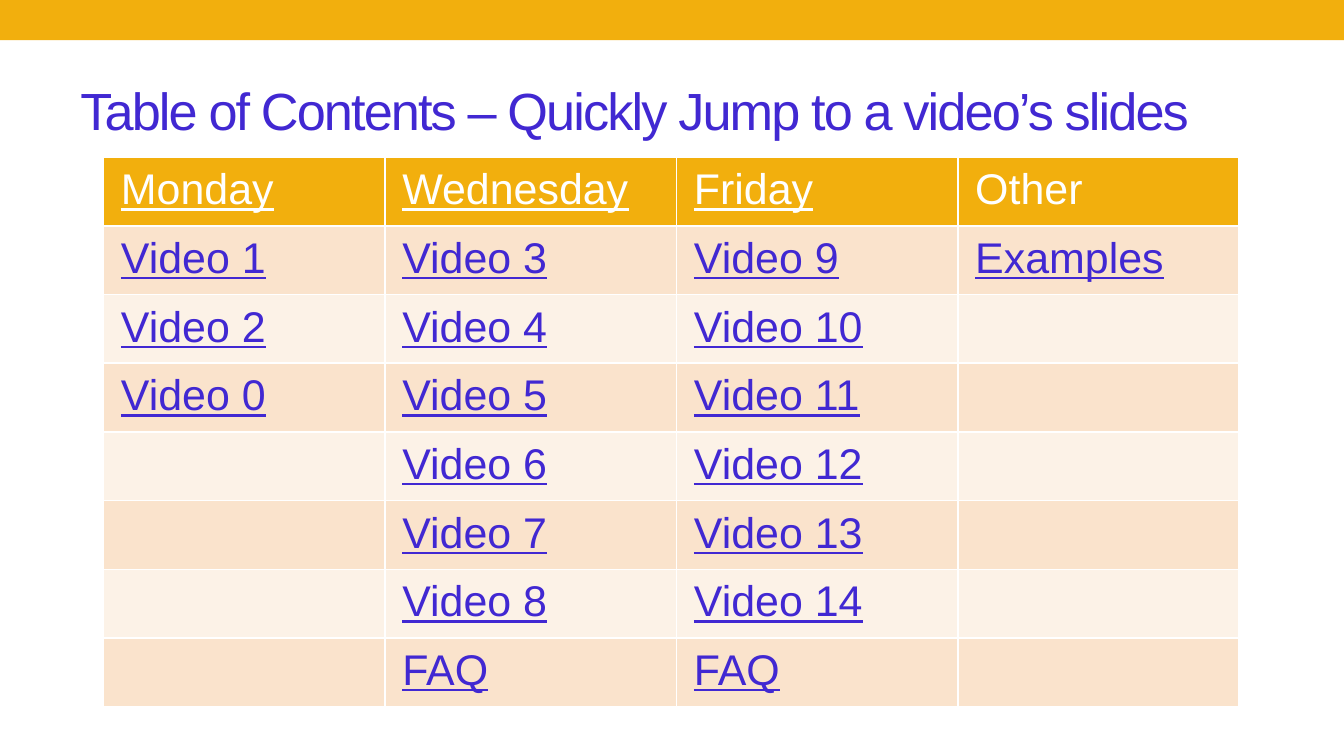
"""Build a table of contents slide: a top band, a title and a table of videos by day."""
from itertools import product, zip_longest

from lxml import etree
from pptx import Presentation, util as u
from pptx.dml.color import RGBColor
from pptx.enum import shapes, text
from pptx.oxml import ns

TITLE = "Table of Contents – Quickly Jump to a video’s slides"
DAYS = {
    "Monday": ["Video 1", "Video 2", "Video 0"],
    "Wednesday": [f"Video {n}" for n in range(3, 9)] + ["FAQ"],
    "Friday": [f"Video {n}" for n in range(9, 15)] + ["FAQ"],
    "Other": ["Examples"],
}
PLAIN = {"Other"}

GOLD = RGBColor(0xF2, 0xAF, 0x0D)
INDIGO = RGBColor(0x41, 0x28, 0xD2)
WHITE = RGBColor(0xFF, 0xFF, 0xFF)
PEACH = RGBColor(0xFA, 0xE3, 0xCC)
CREAM = RGBColor(0xFC, 0xF2, 0xE7)

WIDE = 10
HIGH = WIDE * 9 / 16
BAND = 0.3
LEFT, TOP, SPAN, TALL = 0.77, 1.17, 8.45, 3.98
BROAD = 2.17
SLIM = (SPAN - BROAD) / 3
COLS = [SLIM, BROAD, SLIM, SLIM]


def write(frame, words, size=23, color=INDIGO, line=False, track=0, lead=None):
    para = frame.paragraphs[0]
    para.line_spacing = lead
    run = para.add_run()
    run.text = words
    font = run.font
    font.name, font.size, font.underline = "Arial", u.Pt(size), line
    font.color.rgb = color
    if track:
        font._element.set("spc", str(track * 100))


def edge(cell, color=WHITE, width=1):
    props = cell._tc.get_or_add_tcPr()
    for side in "LRTB":
        line = etree.SubElement(props, ns.qn(f"a:ln{side}"), w=str(u.Pt(width)))
        fill = etree.SubElement(line, ns.qn("a:solidFill"))
        etree.SubElement(fill, ns.qn("a:srgbClr"), val=str(color))


def paint(cell, color):
    edge(cell)
    cell.fill.solid()
    cell.fill.fore_color.rgb = color
    cell.margin_left = cell.margin_right = u.Inches(0.13)
    cell.margin_top = cell.margin_bottom = u.Pt(4.6)


def main():
    deck = Presentation()
    deck.slide_width, deck.slide_height = u.Inches(WIDE), u.Inches(HIGH)
    slide = deck.slides.add_slide(deck.slide_layouts[6])

    band = slide.shapes.add_shape(
        shapes.MSO_SHAPE.RECTANGLE, 0, 0, u.Inches(WIDE), u.Inches(BAND))
    band.shadow.inherit = False
    band.fill.solid()
    band.fill.fore_color.rgb = GOLD
    band.line.fill.background()

    title = slide.shapes.add_textbox(*map(u.Inches, (0.5, 0.44, 9, 0.81))).text_frame
    title.word_wrap = True
    title.vertical_anchor = text.MSO_ANCHOR.MIDDLE
    write(title, TITLE, size=28, track=-1, lead=0.9)

    rows = [list(DAYS), *zip_longest(*DAYS.values(), fillvalue="")]
    size = LEFT, TOP, SPAN, TALL
    table = slide.shapes.add_table(len(rows), len(COLS), *map(u.Inches, size)).table
    for col, width in zip(table.columns, COLS):
        col.width = u.Inches(width)
    for row in table.rows:
        row.height = u.Inches(TALL / len(rows))

    for r, c in product(range(len(rows)), range(len(COLS))):
        cell, words = table.cell(r, c), rows[r][c]
        paint(cell, GOLD if r == 0 else PEACH if r % 2 else CREAM)
        if words:
            write(cell.text_frame, words, color=INDIGO if r else WHITE,
                  line=words not in PLAIN)

    deck.save("out.pptx")


if __name__ == "__main__":
    main()
